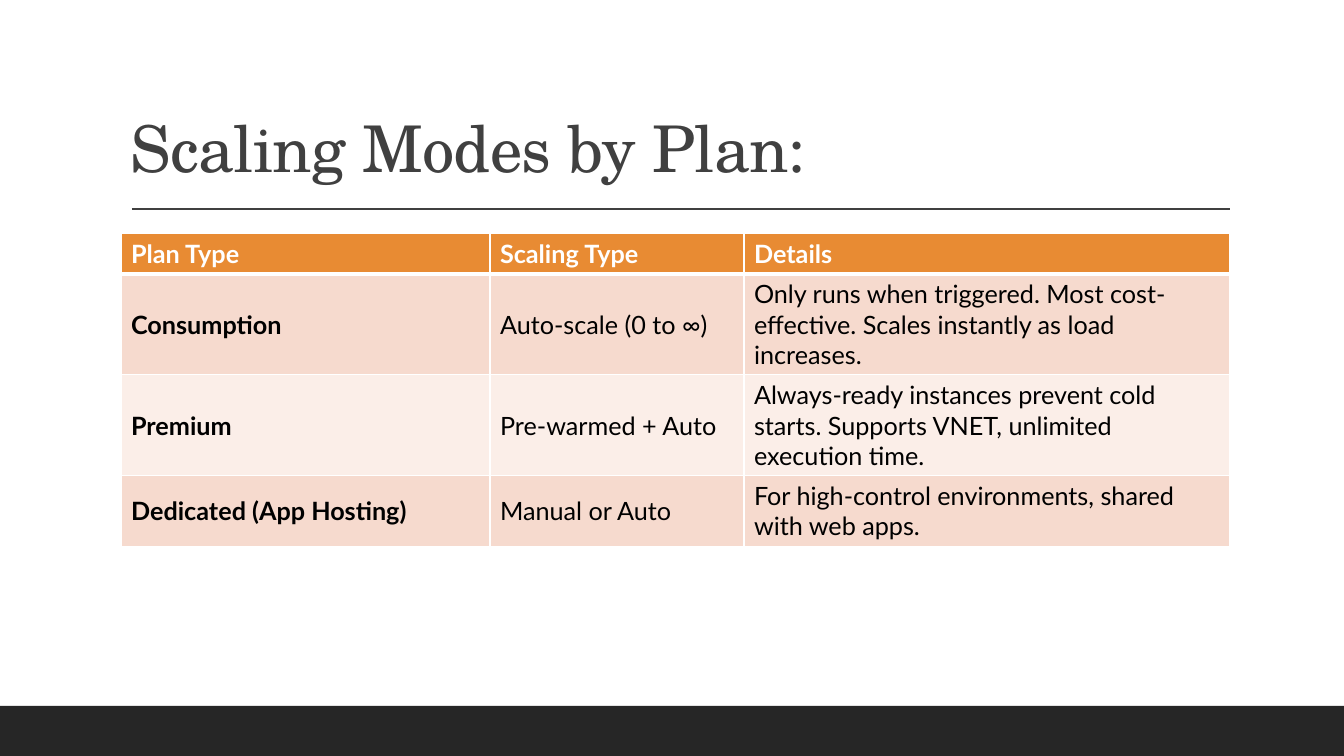
import pptx
import pptx.util
import pptx.dml.color
import pptx.enum.shapes
import pptx.enum.text
import pptx.oxml.ns
import lxml.etree

WIDE, HIGH = 1344, 756
SCALE = 12192000 / WIDE
SERIF, SANS = "TeX Gyre Schola", "Lato"
COLORS = {
    "dark": "262626", "gray": "404040", "white": "FFFFFF", "black": "000000",
    "head": "E88B33", "odd": "F6DACE", "even": "FBEEE8",
}
COLS = (369, 254, 486)
ROWS = (41, 100, 100, 70)
PLANS = (
    ("Plan Type", "Scaling Type", "Details"),
    ("Consumption", "Auto-scale (0 to ∞)",
     "Only runs when triggered. Most cost-effective. Scales instantly as load increases."),
    ("Premium", "Pre-warmed + Auto",
     "Always-ready instances prevent cold starts. Supports VNET, unlimited execution time."),
    ("Dedicated (App Hosting)", "Manual or Auto",
     "For high-control environments, shared with web apps."),
)


def px(size):
    """Turn pixels into EMU."""
    return pptx.util.Emu(round(size * SCALE))


def tint(name):
    """Return a named colour."""
    return pptx.dml.color.RGBColor.from_string(COLORS[name])


def style(text, font, size, color, bold=False):
    """Format the runs of the first paragraph."""
    for run in text.paragraphs[0].runs:
        run.font.name = font
        run.font.size = pptx.util.Pt(size)
        run.font.bold = bold
        run.font.color.rgb = tint(color)


def add_bar(slide, x, y, w, h):
    """Draw the dark footer bar."""
    bar = slide.shapes.add_shape(
        pptx.enum.shapes.MSO_SHAPE.RECTANGLE, px(x), px(y), px(w), px(h))
    bar.shadow.inherit = False
    bar.fill.solid()
    bar.fill.fore_color.rgb = tint("dark")
    bar.line.fill.background()


def add_title(slide, x, y, w, h):
    """Place the title and the rule below it."""
    box = slide.shapes.add_textbox(px(x), px(y), px(w), px(h))
    text = box.text_frame
    text.word_wrap = True
    text.vertical_anchor = pptx.enum.text.MSO_ANCHOR.BOTTOM
    text.text = "Scaling Modes by Plan:"
    text.paragraphs[0].line_spacing = 0.9
    style(text, SERIF, 46, "gray")
    text.paragraphs[0].runs[0].font._element.set("spc", "-50")
    low = y + h + 18
    rule = slide.shapes.add_connector(
        pptx.enum.shapes.MSO_CONNECTOR.STRAIGHT,
        px(x + 11), px(low), px(x + w), px(low))
    rule.line.color.rgb = tint("gray")
    rule.line.width = pptx.util.Pt(1)
    lxml.etree.SubElement(
        rule._element.spPr, pptx.oxml.ns.qn("a:effectLst"))


def add_edges(cell, top, low):
    """Give a cell white borders, with its own top and bottom widths."""
    props = cell._tc.get_or_add_tcPr()
    edges = (("lnL", 1), ("lnR", 1), ("lnT", top), ("lnB", low))
    for spot, (tag, width) in enumerate(edges):
        edge = lxml.etree.Element(
            pptx.oxml.ns.qn("a:" + tag), w=str(pptx.util.Pt(width)))
        fill = lxml.etree.SubElement(edge, pptx.oxml.ns.qn("a:solidFill"))
        lxml.etree.SubElement(
            fill, pptx.oxml.ns.qn("a:srgbClr"), val=COLORS["white"])
        props.insert(spot, edge)


def add_plans(slide, x, y):
    """Build the table of plans."""
    table = slide.shapes.add_table(
        len(ROWS), len(COLS), px(x), px(y), px(sum(COLS)), px(sum(ROWS))).table
    for col, width in zip(table.columns, COLS):
        col.width = px(width)
    for r, (plan, height) in enumerate(zip(PLANS, ROWS)):
        table.rows[r].height = px(height)
        head = r == 0
        back = "head" if head else "odd" if r % 2 else "even"
        for c, words in enumerate(plan):
            cell = table.cell(r, c)
            cell.text_frame.text = words
            cell.vertical_anchor = pptx.enum.text.MSO_ANCHOR.MIDDLE
            cell.fill.solid()
            cell.fill.fore_color.rgb = tint(back)
            style(cell.text_frame, SANS, 18,
                  "white" if head else "black", head or c == 0)
            add_edges(cell, 3 if r == 1 else 1, 3 if head else 1)


def main():
    """Build and save the slide."""
    deck = pptx.Presentation()
    deck.slide_width, deck.slide_height = px(WIDE), px(HIGH)
    slide = deck.slides.add_slide(deck.slide_layouts[6])
    add_bar(slide, 0, HIGH - 50, WIDE, 50)
    add_title(slide, 121, 31, 1109, 160)
    add_plans(slide, 121, 233)
    deck.save("out.pptx")


if __name__ == "__main__":
    main()
